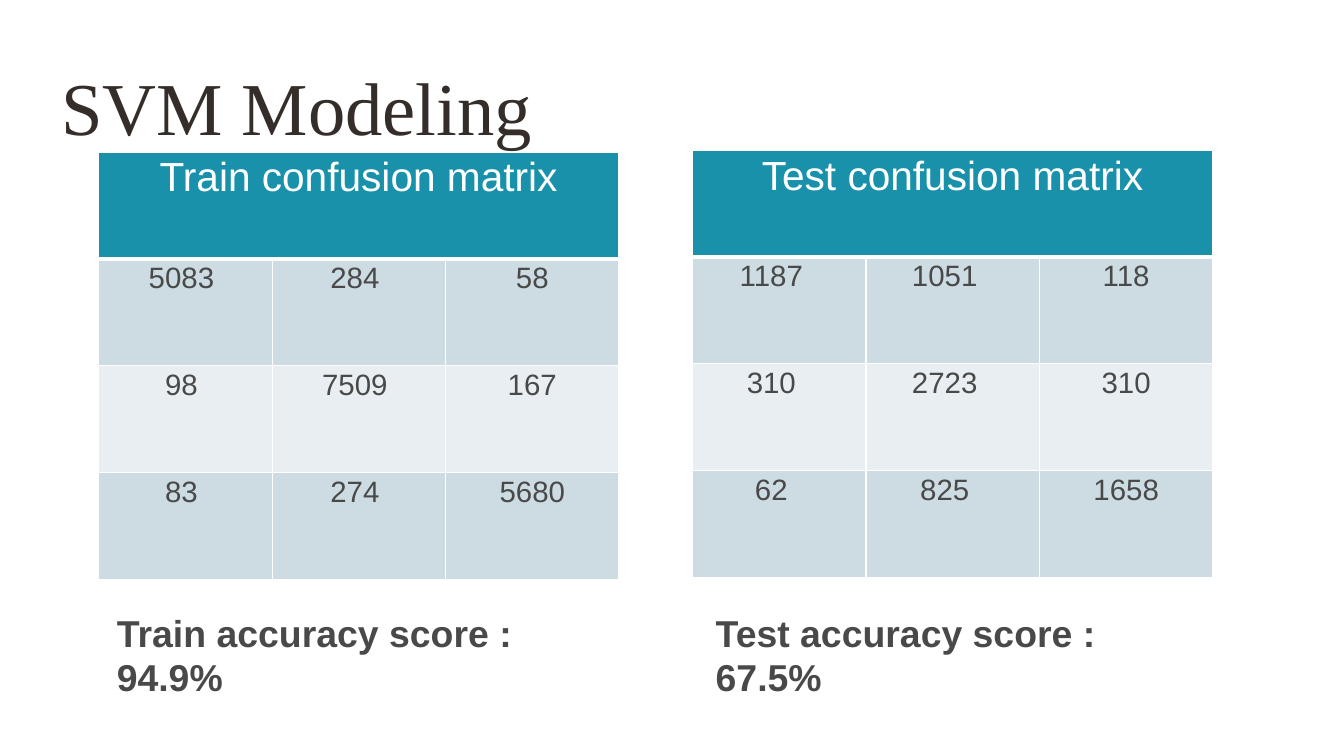
from pptx import Presentation
from pptx.dml.color import RGBColor
from pptx.enum.text import PP_ALIGN
from pptx.oxml.ns import qn
from pptx.util import Inches, Pt
from lxml.etree import SubElement

WHITE = RGBColor(0xFF, 0xFF, 0xFF)
TEAL = RGBColor(0x19, 0x91, 0xAB)
BAND = RGBColor(0xCC, 0xDC, 0xE2)
PALE = RGBColor(0xE8, 0xEE, 0xF1)
GREY = RGBColor(0x49, 0x49, 0x49)
BROWN = RGBColor(0x34, 0x2D, 0x29)

TRAIN = [[5083, 284, 58], [98, 7509, 167], [83, 274, 5680]]
TEST = [[1187, 1051, 118], [310, 2723, 310], [62, 825, 1658]]
SIDE = 1.72  # cell width
HIGH = 1.06  # cell height


def add_run(para, text, size, color, font="Arial", bold=False):
    run = para.add_run()
    run.text = text
    run.font.size = Pt(size)
    run.font.name = font
    run.font.bold = bold
    run.font.color.rgb = color


def add_text(slide, box, text, size, color, font="Arial", bold=False):
    frame = slide.shapes.add_textbox(*map(Inches, box)).text_frame
    frame.word_wrap = True
    add_run(frame.paragraphs[0], text, size, color, font, bold)
    return frame


def add_edges(cell, base):
    """White lines on all four sides; base is the width of the lower one."""
    props = cell._tc.get_or_add_tcPr()
    for side, width in (("L", 1), ("R", 1), ("T", 1), ("B", base)):
        line = SubElement(props, qn(f"a:ln{side}"), w=str(Pt(width)))
        fill = SubElement(line, qn("a:solidFill"))
        SubElement(fill, qn("a:srgbClr"), val=str(WHITE))


def set_cell(cell, fill, text, size, color, base=1, shift=0):
    """Fill a cell; shift widens the right margin to move the text left."""
    add_edges(cell, base)
    cell.fill.solid()
    cell.fill.fore_color.rgb = fill
    cell.margin_left = Inches(0.07)
    cell.margin_right = Inches(0.07 + shift)
    cell.margin_top = cell.margin_bottom = Inches(0.03)
    para = cell.text_frame.paragraphs[0]
    para.alignment = PP_ALIGN.CENTER
    if text:
        add_run(para, text, size, color)


def add_matrix(slide, left, top, title, data, shift):
    count = len(data[0])
    rows = len(data) + 1
    table = slide.shapes.add_table(
        rows, count, Inches(left), Inches(top),
        Inches(SIDE * count), Inches(HIGH * rows)).table
    for col in table.columns:
        col.width = Inches(SIDE)
    for row in table.rows:
        row.height = Inches(HIGH)

    # Header across all columns
    for col in range(count):
        set_cell(table.cell(0, col), TEAL, "" if col else title, 29, WHITE, 3)
    table.cell(0, 0).merge(table.cell(0, count - 1))

    # Banded counts
    for i, line in enumerate(data):
        for j, value in enumerate(line):
            set_cell(table.cell(i + 1, j), PALE if i % 2 else BAND,
                     str(value), 21, GREY,
                     shift=shift if j < count - 1 else 0)


def main():
    deck = Presentation()
    deck.slide_width = Inches(13.33)
    deck.slide_height = Inches(7.5)
    slide = deck.slides.add_slide(deck.slide_layouts[6])

    # Title
    frame = add_text(slide, (0.61, 0.68, 5.34, 1.65), "SVM Modeling",
                     53.3, BROWN, "Times New Roman")
    frame.margin_left = frame.margin_right = 0
    frame.margin_top = frame.margin_bottom = 0
    frame.paragraphs[0].line_spacing = Pt(58.7)

    # Confusion matrices
    add_matrix(slide, 0.98, 1.51, "Train confusion matrix", TRAIN, 0.08)
    add_matrix(slide, 6.87, 1.49, "Test confusion matrix", TEST, 0.16)

    # Accuracy scores
    for left, text in ((1.06, "Train accuracy score : 94.9%"),
                       (7, "Test accuracy score : 67.5%")):
        add_text(slide, (left, 6, 5.08, 1), text, 26.7, GREY, bold=True)

    deck.save("out.pptx")


if __name__ == "__main__":
    main()
